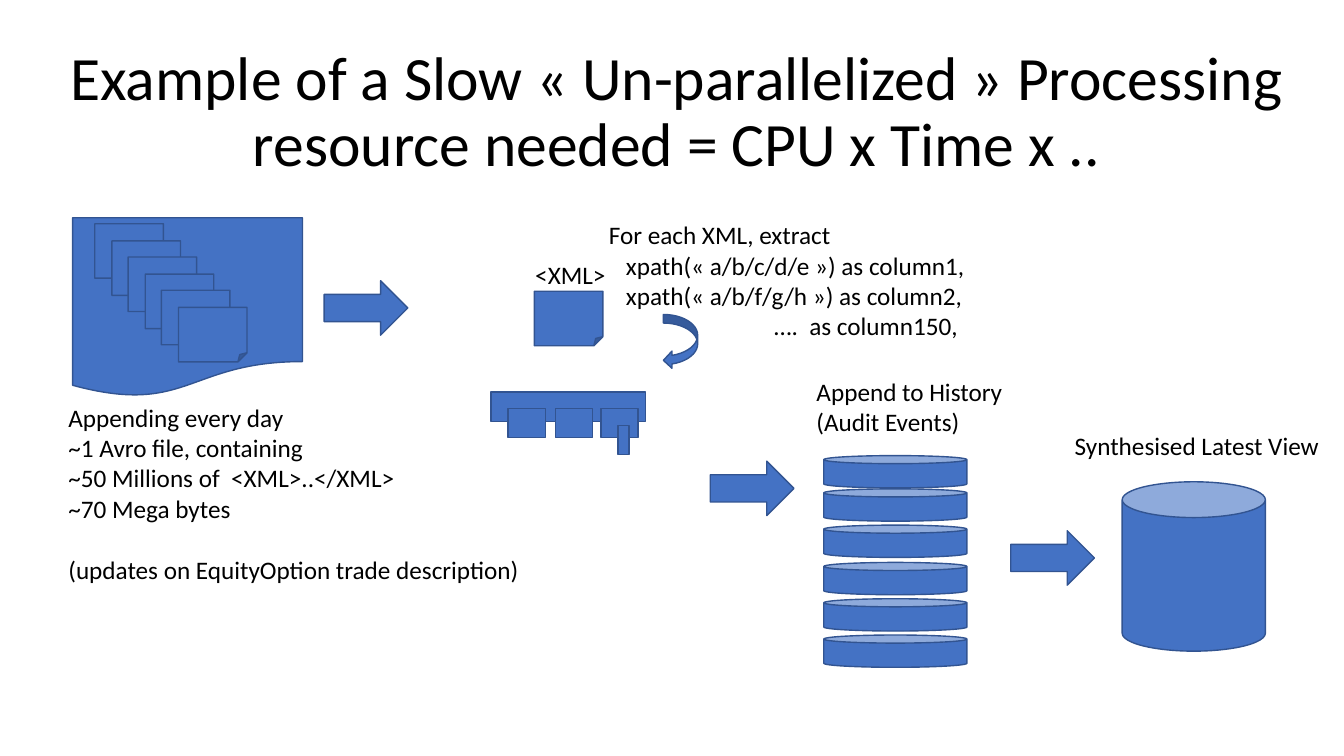
from pptx import Presentation
from pptx.dml.color import RGBColor
from pptx.enum.shapes import MSO_SHAPE as Shape
from pptx.enum.text import MSO_ANCHOR, MSO_AUTO_SIZE as AutoSize, PP_ALIGN
from pptx.util import Pt

PX = 9144  # 100 px to the inch
COLORS = {"fill": "4472C4", "line": "325491", "text": "000000"}

deck = Presentation()
deck.slide_width, deck.slide_height = 1333 * PX, 750 * PX
slide = deck.slides.add_slide(deck.slide_layouts[5])


def add_block(kind, left, top, width, height, rotation=0):
    block = slide.shapes.add_shape(kind, left * PX, top * PX, width * PX, height * PX)
    block.rotation = rotation
    block.shadow.inherit = False
    block.fill.solid()
    block.fill.fore_color.rgb = RGBColor.from_string(COLORS["fill"])
    block.line.color.rgb = RGBColor.from_string(COLORS["line"])
    block.line.width = Pt(1)


def write(frame, text, size):
    frame.text = text
    for paragraph in frame.paragraphs:
        for run in paragraph.runs:
            run.font.size = Pt(size)
            run.font.name = "Calibri"
            run.font.color.rgb = RGBColor.from_string(COLORS["text"])


# Title
title = slide.shapes.title
title.left, title.top, title.width, title.height = 22 * PX, 40 * PX, 1299 * PX, 145 * PX
write(title.text_frame,
      "Example of a Slow « Un-parallelized » Processing\vresource needed = CPU x Time x ..", 44)
title.text_frame.auto_size = AutoSize.NONE
title.text_frame.vertical_anchor = MSO_ANCHOR.MIDDLE
heading = title.text_frame.paragraphs[0]
heading.alignment = PP_ALIGN.CENTER
heading.line_spacing = 0.9

# Avro file holding a cascade of XML documents
add_block(Shape.FLOWCHART_DOCUMENT, 72, 216, 228, 178)
for i in range(6):
    offset = round(16.6 * i)
    add_block(Shape.FOLDED_CORNER, 94 + offset, 222 + offset, 68, 54)

# Single XML document and its extraction
add_block(Shape.FOLDED_CORNER, 530, 289, 68, 54)
add_block(Shape.CURVED_LEFT_ARROW, 658, 312, 34, 54)

# Extracted columns
add_block(Shape.RECTANGLE, 487, 389, 153, 29)
for column_left in (504, 551, 596):
    add_block(Shape.RECTANGLE, column_left, 405, 37, 29)
add_block(Shape.RECTANGLE, 613, 422, 11, 29)

# History stack and latest view
for history_top in [452] + [485 + round(36.3 * i) for i in range(5)]:
    add_block(Shape.CAN, 817, history_top, 142, 32)
add_block(Shape.CAN, 1113, 478, 142, 168)

# Arrows between the stages
for arrow_left, arrow_top in ((336, 264), (719, 443), (1017, 512)):
    add_block(Shape.DOWN_ARROW, arrow_left, arrow_top, 54, 83, 270)

# Labels: box, then (text, indent px, space before pt) for each line
LABELS = [
    ((58, 394, 472, 192), [
        ("Appending every day", 0, 0),
        ("~1 Avro file, containing", 0, 0),
        ("~50 Millions of  <XML>..</XML>", 0, 0),
        ("~70 Mega bytes", 0, 0),
        ("(updates on EquityOption trade description)", 0, 22)]),
    ((521, 252, 91, 40), [("<XML>", 0, 0)]),
    ((594, 213, 378, 131), [
        ("For each XML, extract", 0, 0),
        ("xpath(« a/b/c/d/e ») as column1,", 17, 0),
        ("xpath(« a/b/f/g/h ») as column2,", 17, 0),
        ("….  as column150,", 164, 0)]),
    ((800, 368, 207, 71), [("Append to History", 0, 0), ("(Audit Events)", 0, 0)]),
    ((1056, 422, 265, 40), [("Synthesised Latest View", 0, 0)]),
]
for box, lines in LABELS:
    frame = slide.shapes.add_textbox(*(n * PX for n in box)).text_frame
    frame.word_wrap = False
    frame.auto_size = AutoSize.SHAPE_TO_FIT_TEXT
    write(frame, "\n".join(text for text, _, _ in lines), 18)
    for paragraph, (_, indent, space) in zip(frame.paragraphs, lines):
        if indent:
            paragraph._p.get_or_add_pPr().set("marL", str(indent * PX))
        if space:
            paragraph.space_before = Pt(space)

deck.save("out.pptx")
